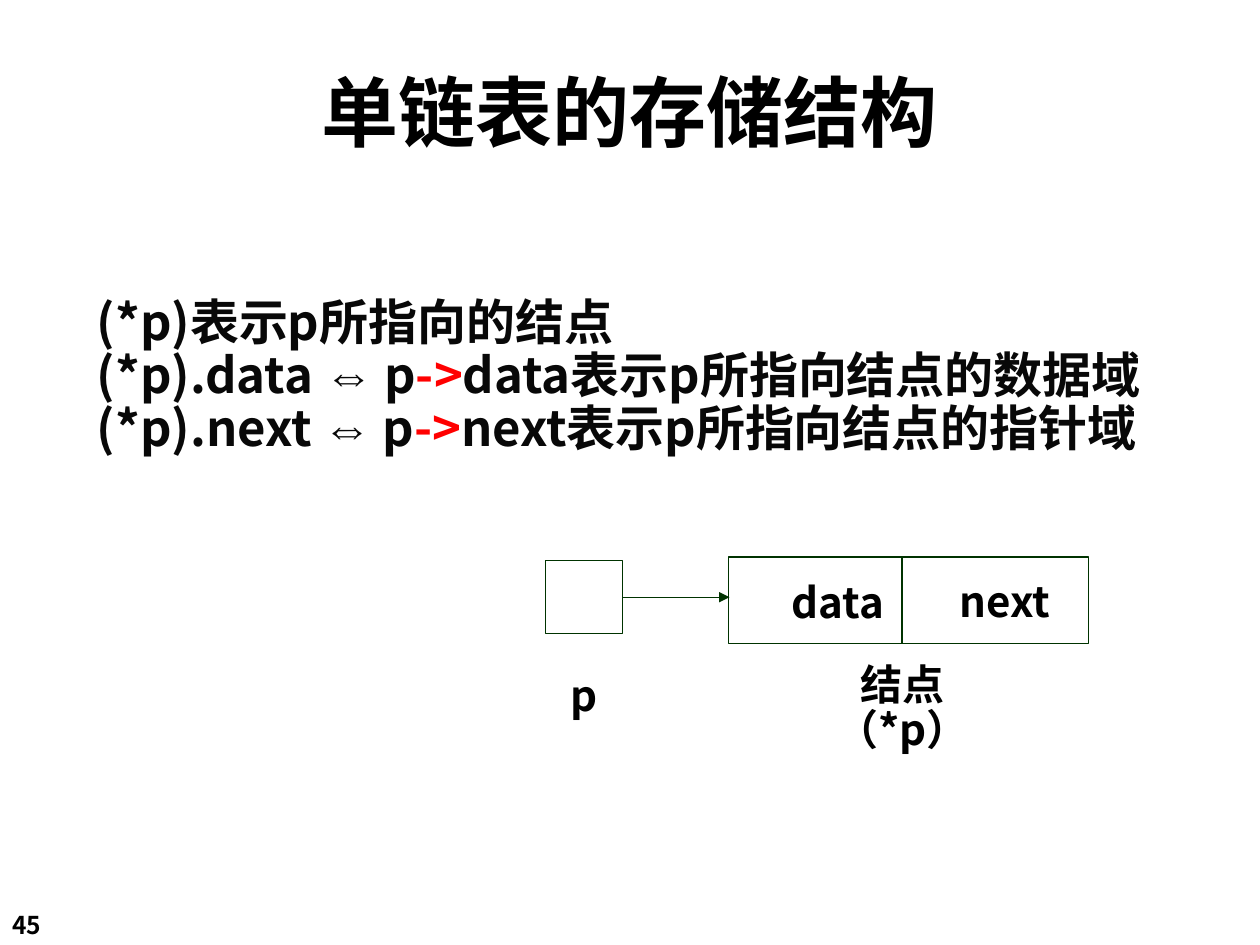
from lxml.etree import SubElement
from pptx import Presentation
from pptx.dml.color import RGBColor
from pptx.enum.shapes import MSO_CONNECTOR, MSO_SHAPE
from pptx.enum.text import MSO_ANCHOR, PP_ALIGN
from pptx.oxml.ns import qn
from pptx.util import Inches, Pt

FONT = "Noto Sans CJK SC"
SYMBOL_FONT = "Arial"
BLACK = RGBColor(0x00, 0x00, 0x00)
INK = RGBColor(0x08, 0x08, 0x08)
RED = RGBColor(0xFF, 0x00, 0x00)
GREEN = RGBColor(0x00, 0x33, 0x00)


def style_paragraph(paragraph, size, color=BLACK, align=PP_ALIGN.LEFT, spacing=None):
    paragraph.alignment = align
    paragraph.line_spacing = spacing
    font = paragraph.font
    font.name, font.size, font.bold = FONT, Pt(size), True
    font.color.rgb = color
    # East Asian typeface, placed right after the Latin one
    defaults = paragraph._p.pPr.find(qn("a:defRPr"))
    SubElement(defaults, qn("a:ea"), typeface=FONT)


def add_text_box(slide, left, top, width, height, wrap=True):
    box = slide.shapes.add_textbox(
        Inches(left), Inches(top), Inches(width), Inches(height))
    frame = box.text_frame
    frame.word_wrap = wrap
    frame.vertical_anchor = MSO_ANCHOR.MIDDLE
    return frame


def add_label(slide, text, left, top, width):
    frame = add_text_box(slide, left, top, width, 0.46, wrap=False)
    paragraph = frame.paragraphs[0]
    paragraph.text = text
    style_paragraph(paragraph, 24, align=PP_ALIGN.CENTER, spacing=0.9)


def add_cell(slide, left, top, width, height):
    cell = slide.shapes.add_shape(
        MSO_SHAPE.RECTANGLE,
        Inches(left), Inches(top), Inches(width), Inches(height))
    cell.shadow.inherit = False
    cell.fill.background()
    cell.line.color.rgb = GREEN
    cell.line.width = Pt(0.75)


def add_line(slide, x1, y1, x2, y2, arrow=False):
    line = slide.shapes.add_connector(
        MSO_CONNECTOR.STRAIGHT, Inches(x1), Inches(y1), Inches(x2), Inches(y2))
    line.line.color.rgb = GREEN
    line.line.width = Pt(0.75)
    if arrow:
        SubElement(line.line._get_or_add_ln(), qn("a:tailEnd"), type="triangle")
    SubElement(line._element.spPr, qn("a:effectLst"))


def add_title(slide, text):
    title = slide.shapes.title
    title.left, title.top = Inches(0.33), Inches(0.25)
    title.width, title.height = Inches(9.34), Inches(1.25)
    title.text_frame.vertical_anchor = MSO_ANCHOR.MIDDLE
    paragraph = title.text_frame.paragraphs[0]
    paragraph.text = text
    style_paragraph(paragraph, 44, align=PP_ALIGN.CENTER)


def add_explanation(slide):
    frame = add_text_box(slide, 0.67, 2.32, 9.17, 1.36)
    lines = [["(*p)表示p所指向的结点"]]
    for field, meaning in (("data", "数据域"), ("next", "指针域")):
        lines.append([f"(*p).{field} ", "⇔", " p", "->",
                      f"{field}表示p所指向结点的{meaning}"])
    for index, pieces in enumerate(lines):
        paragraph = frame.add_paragraph() if index else frame.paragraphs[0]
        style_paragraph(paragraph, 28, INK, spacing=0.9)
        for piece in pieces:
            run = paragraph.add_run()
            run.text = piece
            if piece == "->":
                run.font.color.rgb = RED
            elif piece == "⇔":
                run.font.name = SYMBOL_FONT
                SubElement(run.font._element, qn("a:ea"), typeface=SYMBOL_FONT)


def add_node_diagram(slide):
    # Pointer cell and node cell
    add_cell(slide, 4.33, 4.45, 0.61, 0.58)
    add_cell(slide, 5.78, 4.42, 2.86, 0.69)
    add_line(slide, 7.16, 4.43, 7.16, 5.11)
    add_line(slide, 4.94, 4.74, 5.79, 4.74, arrow=True)
    # Field names and captions
    add_label(slide, "data", 6.17, 4.57, 0.96)
    add_label(slide, "next", 7.5, 4.56, 0.95)
    add_label(slide, "p", 4.43, 5.31, 0.41)
    add_label(slide, "结点\v（*p）", 6.13, 5.4, 2.07)


def add_page_number(slide, number):
    paragraph = add_text_box(slide, 0, 7.17, 0.83, 0.34).paragraphs[0]
    paragraph.text = number
    style_paragraph(paragraph, 14)


def main():
    presentation = Presentation()
    presentation.slide_width = Inches(10)
    presentation.slide_height = Inches(7.5)
    slide = presentation.slides.add_slide(presentation.slide_layouts[5])
    add_page_number(slide, "45")
    add_title(slide, "单链表的存储结构")
    add_node_diagram(slide)
    add_explanation(slide)
    presentation.save("out.pptx")


if __name__ == "__main__":
    main()
